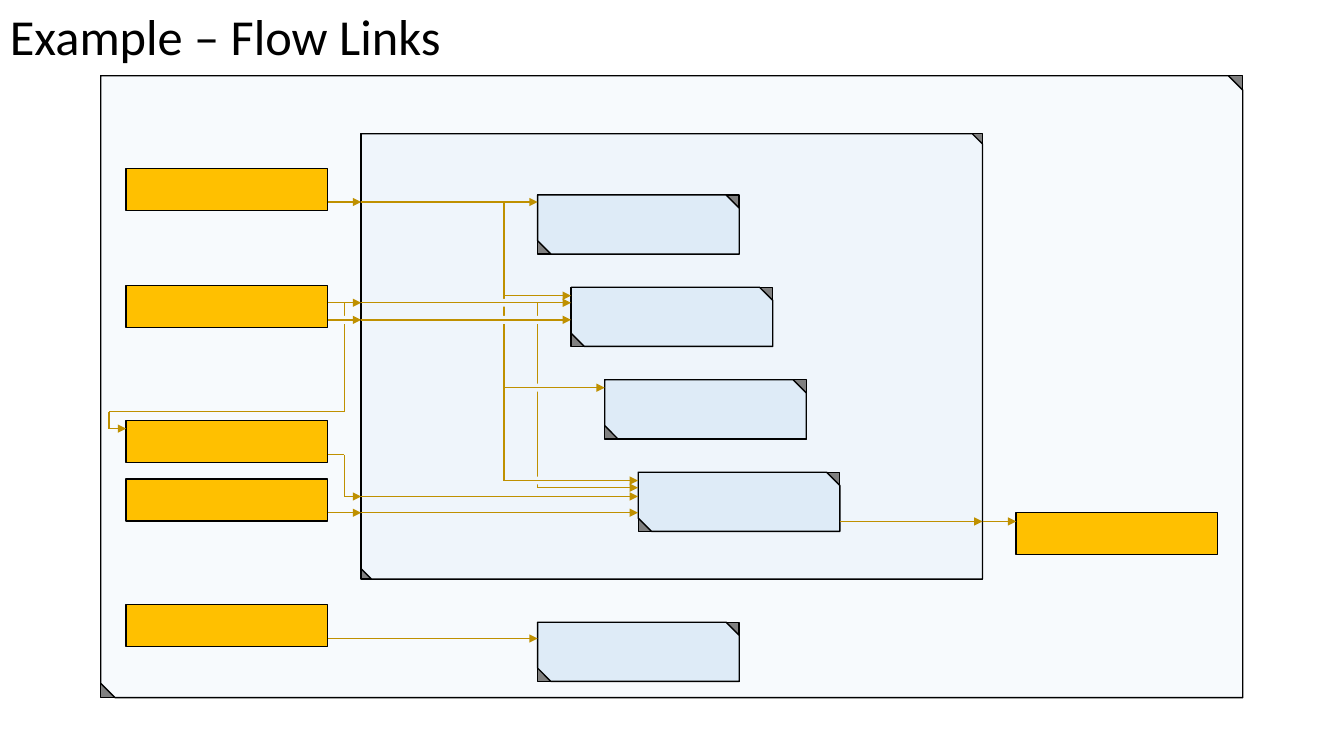
from dataclasses import dataclass

from lxml import etree
from pptx import Presentation
from pptx.dml.color import RGBColor
from pptx.enum import shapes, text
from pptx.oxml import ns
from pptx.util import Cm, Pt


@dataclass(frozen=True)
class Theme:
    font: str = "Calibri"
    title_size: int = 36
    line_width: int = 1
    ink: str = "000000"
    corner: str = "808080"
    system: str = "F7FAFD"
    subsystem: str = "EFF5FB"
    activity: str = "DEEBF7"
    item: str = "FFC000"
    flow: str = "BF9000"


@dataclass(frozen=True)
class Box:
    left: float
    top: float
    width: float
    height: float

    def inside(self, left, top, width, height):
        return Box(self.left + left, self.top + top, width, height)

    def lengths(self):
        return [Cm(v) for v in (self.left, self.top, self.width, self.height)]


THEME = Theme()
GAP = 0.2
ITEM_SIZE = (5.08, 1.06)
ACTIVITY_SIZE = (5.08, 1.49)
FRAME_SNIP = 0.023
ACTIVITY_SNIP = 0.223


def add_block(page, box, fill, preset=shapes.MSO_SHAPE.RECTANGLE, outlined=True):
    block = page.shapes.add_shape(preset, *box.lengths())
    block.shadow.inherit = False
    block.fill.solid()
    block.fill.fore_color.rgb = RGBColor.from_string(fill)
    if outlined:
        block.line.color.rgb = RGBColor.from_string(THEME.ink)
        block.line.width = Pt(THEME.line_width)
    else:
        block.line.fill.background()
    return block


def add_snipped(page, box, fill, snip):
    add_block(page, box, THEME.corner)
    face = add_block(page, box, fill, shapes.MSO_SHAPE.SNIP_2_DIAG_RECTANGLE)
    face.adjustments[0] = 0
    face.adjustments[1] = snip


def add_flow(page, box, x1, y1, x2, y2, arrow=True):
    ends = (box.left + x1, box.top + y1, box.left + x2, box.top + y2)
    flow = page.shapes.add_connector(
        shapes.MSO_CONNECTOR.STRAIGHT, *[Cm(v) for v in ends])
    flow.line.color.rgb = RGBColor.from_string(THEME.flow)
    flow.line.width = Pt(THEME.line_width)
    if arrow:
        outline = flow.line._get_or_add_ln()
        etree.SubElement(outline, ns.qn("a:tailEnd"), type="triangle")
    etree.SubElement(flow._element.spPr, ns.qn("a:effectLst"))


def add_gap(page, box, x, y, fill):
    gap = box.inside(x - GAP / 2, y - GAP / 2, GAP, GAP)
    add_block(page, gap, fill, outlined=False)


def add_title(page, box, title):
    frame = page.shapes.add_textbox(*box.lengths()).text_frame
    frame.word_wrap = True
    frame.auto_size = text.MSO_AUTO_SIZE.SHAPE_TO_FIT_TEXT
    para = frame.paragraphs[0]
    para.text = title
    para.font.name = THEME.font
    para.font.size = Pt(THEME.title_size)
    para.font.color.rgb = RGBColor.from_string(THEME.ink)


def add_subsystem(page, box):
    add_snipped(page, box, THEME.subsystem, FRAME_SNIP)
    for step in range(4):
        activity = box.inside(4.45 + 0.845 * step, 1.54 + 2.33 * step, *ACTIVITY_SIZE)
        add_snipped(page, activity, THEME.activity, ACTIVITY_SNIP)

    trunk, branch = 3.6, 4.45
    add_flow(page, box, trunk, 1.72, trunk, 8.74, arrow=False)
    add_flow(page, box, branch, 4.26, branch, 8.92, arrow=False)
    for x, y in ((trunk, 4.26), (trunk, 4.69),
                 (branch, 4.69), (branch, 6.4), (branch, 8.74)):
        add_gap(page, box, x, y, THEME.subsystem)

    for start, end, y in (
        (0, 4.45, 1.72),
        (trunk, 5.29, 4.08),
        (0, 5.29, 4.26),
        (0, 5.29, 4.69),
        (trunk, 6.14, 6.4),
        (trunk, 6.98, 8.74),
        (branch, 6.98, 8.92),
        (0, 6.98, 9.14),
        (0, 6.98, 9.55),
        (12.06, box.width, 9.77),
    ):
        add_flow(page, box, start, y, end, y)


def add_system(page, box):
    add_snipped(page, box, THEME.system, FRAME_SNIP)
    add_subsystem(page, box.inside(6.56, 1.46, 15.66, 11.22))
    add_snipped(page, box.inside(11.01, 13.77, *ACTIVITY_SIZE),
                THEME.activity, ACTIVITY_SNIP)

    for top in (2.33, 5.29, 8.68, 10.16, 13.33):
        add_block(page, box.inside(0.64, top, *ITEM_SIZE), THEME.item)
    add_block(page, box.inside(23.07, 11.01, *ITEM_SIZE), THEME.item)

    source, turn, gate, loop = 5.72, 6.14, 6.56, 0.21
    for x1, y1, x2, y2 in (
        (turn, 5.72, turn, 8.46),
        (turn, 8.46, loop, 8.46),
        (loop, 8.46, loop, 8.89),
        (source, 9.55, turn, 9.55),
        (turn, 9.55, turn, 10.6),
    ):
        add_flow(page, box, x1, y1, x2, y2, arrow=False)
    add_gap(page, box, turn, 6.15, THEME.system)

    for start, end, y in (
        (source, gate, 3.18),
        (source, gate, 5.72),
        (source, gate, 6.15),
        (loop, 0.64, 8.89),
        (turn, gate, 10.6),
        (source, gate, 11.01),
        (22.22, 23.07, 11.23),
        (source, 11.01, 14.18),
    ):
        add_flow(page, box, start, y, end, y)


def main():
    deck = Presentation()
    deck.slide_width, deck.slide_height = Cm(33.87), Cm(19.05)
    page = deck.slides.add_slide(deck.slide_layouts[6])
    add_system(page, Box(2.54, 1.91, 28.78, 15.67))
    add_title(page, Box(0, 0, 22.02, 1.8), "Example – Flow Links")
    deck.save("out.pptx")


if __name__ == "__main__":
    main()
